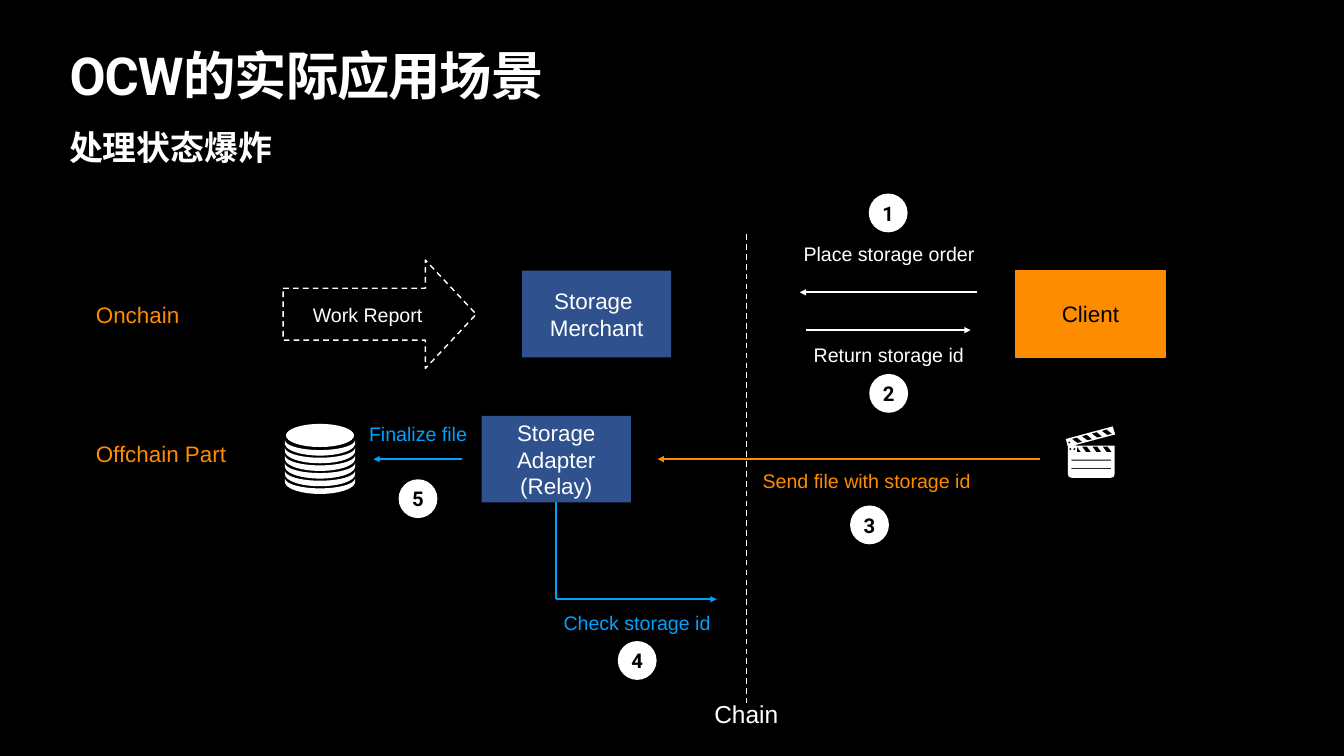
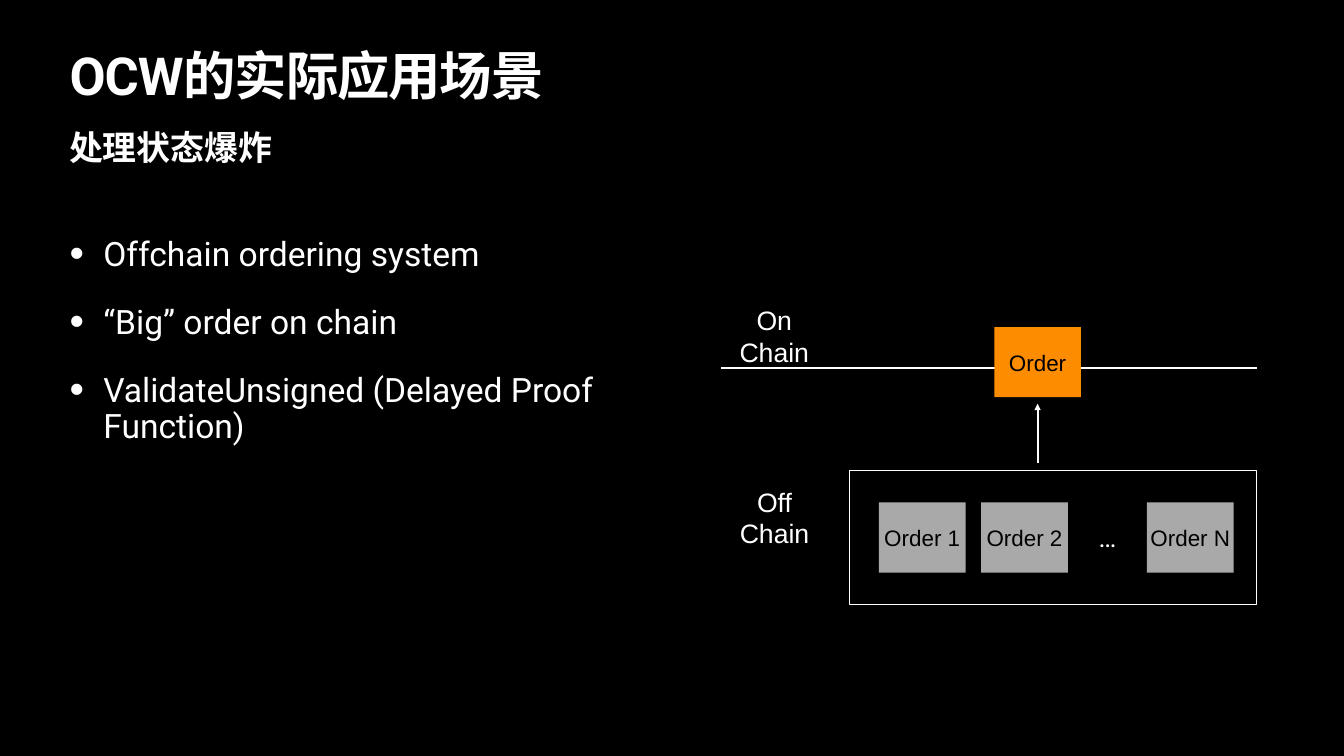
from math import cos, pi, sin

from lxml.etree import SubElement
from pptx import Presentation
from pptx.dml.color import RGBColor
from pptx.enum.dml import MSO_LINE
from pptx.enum.shapes import MSO_CONNECTOR, MSO_SHAPE
from pptx.enum.text import MSO_ANCHOR, MSO_AUTO_SIZE, PP_ALIGN
from pptx.oxml.ns import qn
from pptx.util import Inches, Pt

# The slide is a grid of one-inch cells
COLUMNS, ROWS = 26.67, 15
COLORS = {
    "background": "000000",
    "white": "FFFFFF",
    "black": "000000",
    "orange": "FE8C01",
    "navy": "2F528E",
    "blue": "00A2FF",
    "gray": "A9A9A9",
}
TITLE = "OCW的实际应用场景"
SUBTITLE = "处理状态爆炸"
TITLE_AREA = (1.32, 1.04, 24.03, 1.57)
SUBTITLE_AREA = (1.32, 2.46, 24.03, 1.02)
BULLETS_AREA = (1.32, 4.65, 11.22, 9.03)
BOX_SIZE = (2.96, 1.72)
ORDER_SIZE = (1.72, 1.39)
BADGE_SIZE = 0.77


def color(name):
    return RGBColor.from_string(COLORS[name])


def cells(*lengths):
    return [Inches(length) for length in lengths]


def set_frame(shape, anchor, margin=0.06, wrap=True, auto_size=MSO_AUTO_SIZE.NONE):
    frame = shape.text_frame
    frame.word_wrap = wrap
    frame.auto_size = auto_size
    frame.vertical_anchor = anchor
    frame.margin_left = frame.margin_right = Inches(margin)
    frame.margin_top = frame.margin_bottom = Inches(margin)


def write(shape, text, size, text_color, font="Arial", bold=False,
          align=PP_ALIGN.CENTER, line_spacing=None):
    shape.text_frame.text = text
    for paragraph in shape.text_frame.paragraphs:
        paragraph.alignment = align
        paragraph.space_before = Pt(0)
        if line_spacing:
            paragraph.line_spacing = line_spacing
        for run in paragraph.runs:
            run.font.size = Pt(size)
            run.font.name = font
            run.font.bold = bold
            run.font.color.rgb = color(text_color)


def place(shape, area):
    shape.left, shape.top, shape.width, shape.height = cells(*area)


# Headings and lists
def add_title(slide):
    title = slide.shapes.title
    place(title, TITLE_AREA)
    set_frame(title, MSO_ANCHOR.TOP)
    write(title, TITLE, 74.8, "white", "Roboto", True, PP_ALIGN.LEFT, 0.8)
    for run in title.text_frame.paragraphs[0].runs:
        run._r.get_or_add_rPr().set("spc", "-150")


def format_subtitle(shape):
    place(shape, SUBTITLE_AREA)
    set_frame(shape, MSO_ANCHOR.TOP, margin=0.05)
    write(shape, SUBTITLE, 48.4, "white", "Roboto", True, PP_ALIGN.LEFT)
    properties = shape.text_frame.paragraphs[0]._p.get_or_add_pPr()
    properties.set("marL", "0")
    properties.set("indent", "0")
    SubElement(properties, qn("a:buNone"))


def format_bullets(shape, items):
    place(shape, BULLETS_AREA)
    set_frame(shape, MSO_ANCHOR.TOP)
    write(shape, "\n".join(items), 48, "white", "Roboto",
          align=PP_ALIGN.LEFT, line_spacing=0.9)
    for paragraph in shape.text_frame.paragraphs:
        paragraph.space_before = Pt(45)
        properties = paragraph._p.get_or_add_pPr()
        properties.set("marL", str(Inches(0.67)))
        properties.set("indent", str(-Inches(0.67)))
        SubElement(properties, qn("a:buSzPct")).set("val", "123000")
        SubElement(properties, qn("a:buChar")).set("char", "•")


# Diagram parts
def style_outline(shape, fill=None, line=None):
    shape.shadow.inherit = False
    if fill:
        shape.fill.solid()
        shape.fill.fore_color.rgb = color(fill)
    else:
        shape.fill.background()
    if line:
        shape.line.color.rgb = color(line)
        shape.line.width = Pt(2)
    else:
        shape.line.fill.background()


def add_block(slide, area, text="", size=32, text_color="white", fill=None, line=None,
              kind=MSO_SHAPE.RECTANGLE, font="Arial", bold=False):
    block = slide.shapes.add_shape(kind, *cells(*area))
    style_outline(block, fill, line)
    if text:
        set_frame(block, MSO_ANCHOR.MIDDLE)
        write(block, text, size, text_color, font, bold)
    return block


def add_badge(slide, number, left, top):
    add_block(slide, (left, top, BADGE_SIZE, BADGE_SIZE), str(number), 29, "black",
              "white", kind=MSO_SHAPE.OVAL, font="Roboto", bold=True)


def add_label(slide, text, area, size, text_color="white", font="Arial"):
    label = slide.shapes.add_textbox(*cells(*area))
    set_frame(label, MSO_ANCHOR.MIDDLE, wrap=False,
              auto_size=MSO_AUTO_SIZE.SHAPE_TO_FIT_TEXT)
    write(label, text, size, text_color, font)


def add_line(slide, start, end, line_color="white", width=3, arrow=True, dashed=False):
    line = slide.shapes.add_connector(MSO_CONNECTOR.STRAIGHT, *cells(*start, *end))
    line.line.color.rgb = color(line_color)
    line.line.width = Pt(width)
    if dashed:
        line.line.dash_style = MSO_LINE.DASH
    if arrow:
        SubElement(line.line._get_or_add_ln(), qn("a:tailEnd")).set("type", "triangle")
    SubElement(line._element.spPr, qn("a:effectLst"))
    return line


# Icons drawn from closed outlines
def arc(center_x, center_y, radius_x, radius_y, start=0.0, end=2 * pi, steps=32):
    angles = [start + (end - start) * step / steps for step in range(steps + 1)]
    return [(center_x + radius_x * cos(angle), center_y + radius_y * sin(angle))
            for angle in angles]


def add_outlines(slide, outlines):
    builder = None
    for outline in outlines:
        first, *others = [cells(*point) for point in outline]
        if builder is None:
            builder = slide.shapes.build_freeform(*first)
        else:
            builder.move_to(*first)
        builder.add_line_segments(others, close=True)
    style_outline(builder.convert_to_shape(), "white")


def add_disk_stack(slide):
    center, radius = 6.35, 0.695
    outlines = [arc(center, 8.64, 0.675, 0.23)]
    for layer in range(6):
        level = 8.8 + 0.152 * layer
        outlines.append(arc(center, level, radius, 0.24, 0, pi)
                        + arc(center, level - 0.07, radius, 0.2, pi, 0))
    add_outlines(slide, outlines)


def shifted(outline, across, down):
    return [(x + across, y + down) for x, y in outline]


def add_clapperboard(slide):
    body = [(22.08, 8.46), (21.15, 8.71), (21.19, 8.86), (21.19, 9.4), (21.21, 9.46),
            (21.27, 9.48), (22.04, 9.48), (22.1, 9.46), (22.12, 9.4), (22.12, 8.84),
            (21.35, 8.84), (21.34, 8.83), (22.13, 8.62)]
    top_stripe = [(21.96, 8.52), (22.07, 8.61), (21.97, 8.63), (21.86, 8.55)]
    low_stripe = [(21.47, 8.86), (21.57, 8.86), (21.65, 8.97), (21.55, 8.97)]
    slot = [(21.26, 9.12), (22.05, 9.12), (22.05, 9.14), (21.26, 9.14)]
    corner = [(21.37, 8.86), (21.45, 8.97), (21.37, 8.97)]
    hinges = [(21.22, 8.78), (21.24, 8.91), (21.32, 8.91)]
    add_outlines(slide, [
        body,
        *[shifted(top_stripe, -0.197 * step, 0.053 * step) for step in range(4)],
        *[shifted(low_stripe, 0.205 * step, 0) for step in range(3)],
        *[shifted(slot, 0, 0.17 * step) for step in range(2)],
        corner,
        *[arc(x, y, 0.02, 0.02, steps=12) for x, y in hinges],
    ])


# Slides
def build_storage_flow(slide):
    add_title(slide)
    format_subtitle(slide.placeholders[1])

    # Boxes
    report = add_block(slide, (5.62, 5.16, 3.83, 2.15), "Work Report", 28,
                       line="white", kind=MSO_SHAPE.RIGHT_ARROW)
    report.adjustments[0], report.adjustments[1] = 0.479, 0.469
    report.line.dash_style = MSO_LINE.DASH
    add_block(slide, (10.36, 5.37, *BOX_SIZE), "Storage \nMerchant", fill="navy")
    add_block(slide, (20.16, 5.37, *BOX_SIZE), "Client", text_color="black",
              fill="orange", line="orange")
    adapter = add_block(slide, (9.56, 8.25, *BOX_SIZE), "Storage\nAdapter\n(Relay)",
                        fill="navy")
    add_disk_stack(slide)
    add_clapperboard(slide)

    # Lines and arrows
    chain_x, file_y, check_x, check_y = 14.81, 9.11, 11.04, 11.89
    add_line(slide, (chain_x, 4.65), (chain_x, 13.94), width=2, arrow=False, dashed=True)
    add_line(slide, (19.38, 5.8), (15.87, 5.8))
    add_line(slide, (15.99, 6.55), (19.26, 6.55))
    add_line(slide, (20.63, file_y), (13.05, file_y), "orange")
    add_line(slide, (9.17, file_y), (7.41, file_y), "blue")
    add_line(slide, (check_x, check_y), (14.22, check_y), "blue")
    drop = add_line(slide, (check_x, check_y), (check_x, 9.97), "blue", arrow=False)
    drop.end_connect(adapter, 2)

    # Labels
    for text, area, size, text_color in [
        ("Onchain", (1.84, 5.93, 1.78, 0.61), 32, "orange"),
        ("Offchain Part", (1.84, 8.69, 2.71, 0.61), 32, "orange"),
        ("Place storage order", (15.88, 4.77, 3.52, 0.54), 28, "white"),
        ("Return storage id", (16.08, 6.76, 3.11, 0.54), 28, "white"),
        ("Send file with storage id", (15.07, 9.27, 4.25, 0.54), 28, "orange"),
        ("Check storage id", (11.12, 12.08, 3.04, 0.54), 28, "blue"),
        ("Finalize file", (7.26, 8.33, 2.07, 0.54), 28, "blue"),
        ("Chain", (14.11, 13.83, 1.4, 0.65), 35, "white"),
    ]:
        add_label(slide, text, area, size, text_color)

    # Step numbers
    badges = [(17.24, 3.84), (17.25, 7.42), (16.87, 10.03), (12.26, 12.72), (7.91, 9.51)]
    for number, (left, top) in enumerate(badges, 1):
        add_badge(slide, number, left, top)


def build_order_system(slide):
    add_title(slide)
    format_bullets(slide.placeholders[1], [
        "Offchain ordering system",
        "“Big” order on chain",
        "ValidateUnsigned (Delayed Proof Function)",
    ])
    format_subtitle(slide.shapes.add_textbox(*cells(*SUBTITLE_AREA)))

    # Orders kept off the chain
    add_block(slide, (16.86, 9.34, 8.08, 2.65), line="white")
    for text, left in [("Order 1", 17.44), ("Order 2", 19.47), ("Order N", 22.76)]:
        add_block(slide, (left, 9.97, *ORDER_SIZE), text, text_color="black", fill="gray")
    add_label(slide, "…", (21.65, 10.3, 0.65, 0.72), 38, font="Roboto")
    add_label(slide, "Off Chain", (14.2, 9.92, 2.34, 0.69), 38)

    # The order on the chain
    add_line(slide, (14.31, 7.3), (24.95, 7.3), width=2, arrow=False)
    add_line(slide, (20.59, 9.19), (20.59, 8.01))
    add_block(slide, (19.73, 6.49, *ORDER_SIZE), "Order", text_color="black", fill="orange")
    add_label(slide, "On Chain", (14.19, 6.32, 2.35, 0.69), 38)


def main():
    presentation = Presentation()
    presentation.slide_width, presentation.slide_height = cells(COLUMNS, ROWS)
    background = presentation.slide_master.background.fill
    background.solid()
    background.fore_color.rgb = color("background")
    layout = presentation.slide_layouts[1]
    for build in (build_storage_flow, build_order_system):
        build(presentation.slides.add_slide(layout))
    presentation.save("out.pptx")


if __name__ == "__main__":
    main()
